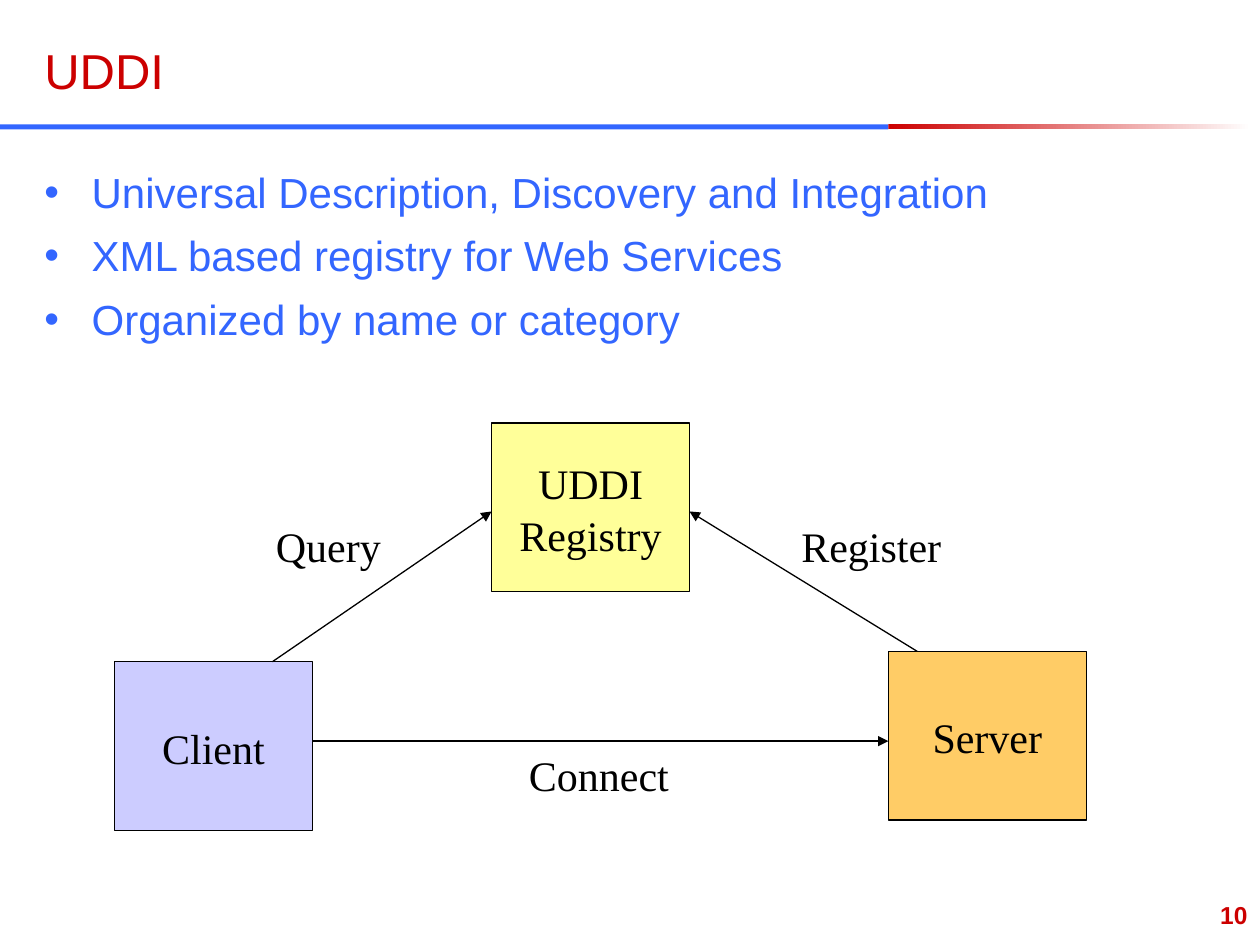
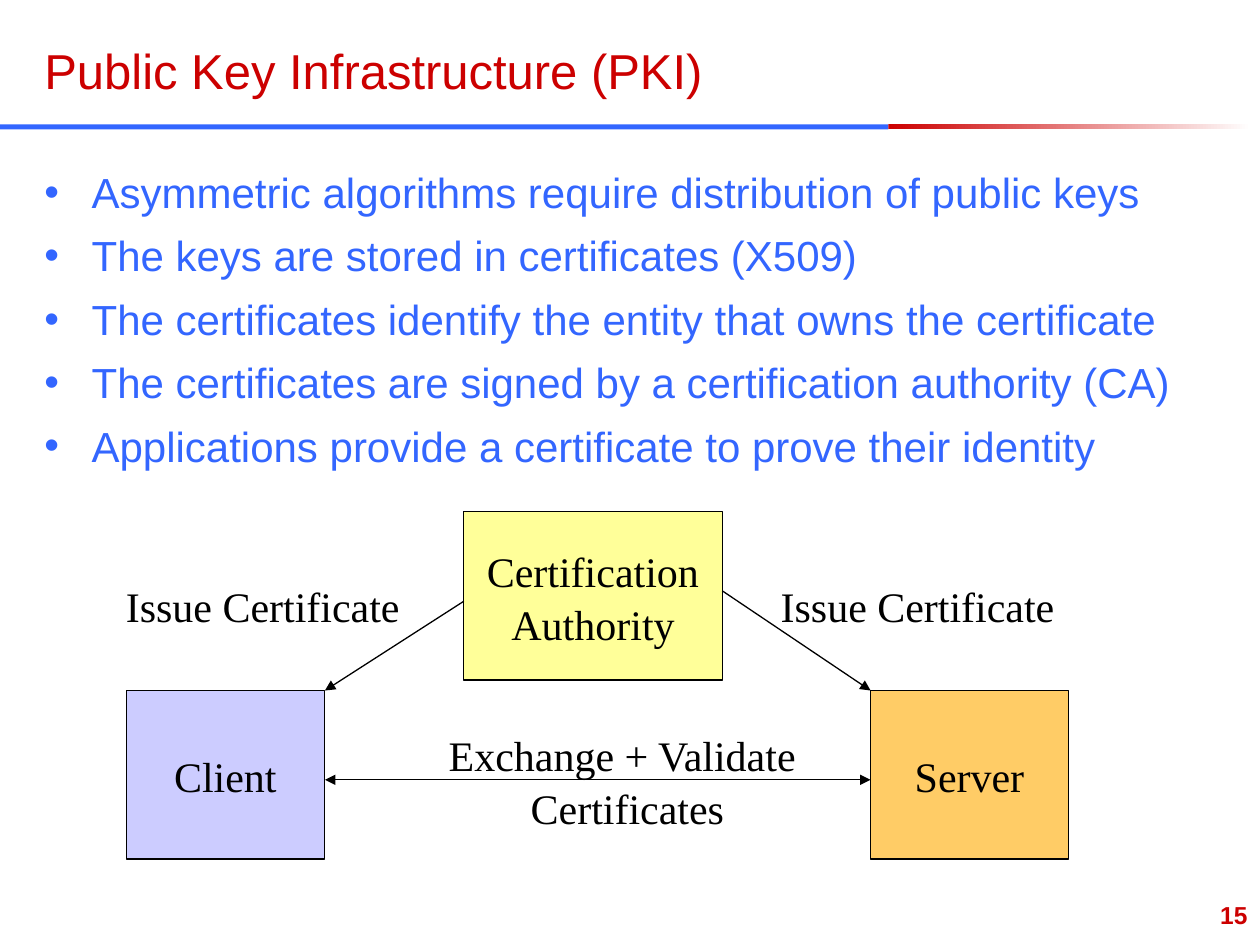
import pptx
import pptx.dml.color
import pptx.enum.shapes
import pptx.enum.text
import pptx.oxml
import pptx.oxml.ns
import pptx.util
from lxml import etree

Cm, Pt, qn = pptx.util.Cm, pptx.util.Pt, pptx.oxml.ns.qn
SHAPE = pptx.enum.shapes.MSO_SHAPE
ALIGN = pptx.enum.text.PP_ALIGN
ANCHOR = pptx.enum.text.MSO_ANCHOR

COLORS = {
    "red": "CC0000", "blue": "3366FF", "white": "FFFFFF", "black": "000000",
    "client": "CCCCFF", "registry": "FFFF99", "server": "FFCC66",
}
SANS, SERIF = "Arial", "Times New Roman"
LINE_SPACING = 1.05
BOX_W, BOX_H = 3.99, 3.4
LABEL_LINE, LABEL_PAD = 1.02, 0.25
BAND_TOP, BAND_H, BAND_SPLIT, BAND_END = 2.51, 0.1, 17.91, 25.22

# boxes: text, colour, left, top, width; arrows: start, end, heads
# labels: text, left, top, width (all in cm)
SLIDES = [
    {
        "title": "UDDI",
        "number": "10",
        "bullets": [
            "Universal Description, Discovery and Integration",
            "XML based registry for Web Services",
            "Organized by name or category",
        ],
        "boxes": [
            (["Client"], "client", 2.31, 13.34, BOX_W),
            (["UDDI", "Registry"], "registry", 9.91, 8.53, BOX_W),
            (["Server"], "server", 17.91, 13.13, BOX_W),
        ],
        "arrows": [
            ((5.49, 13.34), (9.91, 10.31), ["tailEnd"]),
            ((6.3, 14.94), (17.91, 14.94), ["tailEnd"]),
            ((18.49, 13.13), (13.9, 10.31), ["tailEnd"]),
        ],
        "labels": [
            (["Query"], 5.31, 10.31, 2.62),
            (["Register"], 15.9, 10.31, 3.33),
            (["Connect"], 10.41, 14.94, 3.33),
        ],
    },
    {
        "title": "Public Key Infrastructure (PKI)",
        "number": "15",
        "bullets": [
            "Asymmetric algorithms require distribution of public keys",
            "The keys are stored in certificates (X509)",
            "The certificates identify the entity that owns the certificate",
            "The certificates are signed by a certification authority (CA)",
            "Applications provide a certificate to prove their identity",
        ],
        "boxes": [
            (["Client"], "client", 2.55, 13.92, BOX_W),
            (["Certification", "Authority"], "registry", 9.35, 10.31, 5.21),
            (["Server"], "server", 17.55, 13.92, BOX_W),
        ],
        "arrows": [
            ((9.35, 12.12), (6.55, 13.92), ["tailEnd"]),
            ((6.55, 15.72), (17.55, 15.72), ["headEnd", "tailEnd"]),
            ((14.56, 11.91), (17.55, 13.92), ["tailEnd"]),
        ],
        "labels": [
            (["Issue Certificate"], 15.49, 11.53, 6.02),
            (["Exchange + Validate ", "Certificates"], 8.74, 14.53, 7.82),
            (["Issue Certificate"], 2.29, 11.53, 6.02),
        ],
    },
]


def rgb(name):
    return pptx.dml.color.RGBColor.from_string(COLORS[name])


def place(sp, left, top, width, height):
    sp.left, sp.top, sp.width, sp.height = map(Cm, (left, top, width, height))


def write(sp, lines, font, size, color, align=ALIGN.LEFT, anchor=ANCHOR.TOP,
          wrap=True, bold=False):
    """Fill a shape with one paragraph per line, all formatted alike."""
    tf = sp.text_frame
    tf.text = "\n".join(lines)
    tf.word_wrap = wrap
    tf.auto_size = pptx.enum.text.MSO_AUTO_SIZE.NONE
    tf.vertical_anchor = anchor
    for p in tf.paragraphs:
        p.alignment, p.line_spacing = align, LINE_SPACING
        p.font.name, p.font.size, p.font.bold = font, Pt(size), bold
        p.font.color.rgb = rgb(color)
    return tf


def add_rect(slide, left, top, width, height):
    sp = slide.shapes.add_shape(
        SHAPE.RECTANGLE, *map(Cm, (left, top, width, height)))
    sp.shadow.inherit = False
    return sp


def add_bands(slide):
    blue = add_rect(slide, 0, BAND_TOP, BAND_SPLIT, BAND_H)
    blue.fill.solid()
    blue.fill.fore_color.rgb = rgb("blue")
    fade = add_rect(slide, BAND_SPLIT, BAND_TOP, BAND_END - BAND_SPLIT, BAND_H)
    fade.fill.gradient()
    fade.fill.gradient_angle = 0
    for stop, color in zip(fade.fill.gradient_stops, ("red", "white")):
        stop.color.rgb = rgb(color)
    for sp in (blue, fade):
        sp.line.fill.background()


def add_bullets(body, bullets):
    tf = write(body, bullets, SANS, 24, "blue")
    for p in tf.paragraphs:
        p.space_before = Pt(6)
        bullet_color = etree.Element(qn("a:buClr"))
        etree.SubElement(bullet_color, qn("a:srgbClr"), val=COLORS["blue"])
        p._p.pPr.find(qn("a:defRPr")).addprevious(bullet_color)


def add_box(slide, lines, color, left, top, width):
    sp = add_rect(slide, left, top, width, BOX_H)
    sp.fill.solid()
    sp.fill.fore_color.rgb = rgb(color)
    sp.line.color.rgb = rgb("black")
    sp.line.width = Pt(0.75)
    write(sp, lines, SERIF, 24, "black", ALIGN.CENTER, ANCHOR.MIDDLE, wrap=False)


def add_arrow(slide, start, end, heads):
    line = slide.shapes.add_connector(
        pptx.enum.shapes.MSO_CONNECTOR.STRAIGHT, *map(Cm, start + end))
    line.line.color.rgb = rgb("black")
    line.line.width = Pt(0.75)
    props = line.element.spPr
    for head in heads:
        etree.SubElement(props.find(qn("a:ln")), qn("a:" + head), type="triangle")
    etree.SubElement(props, qn("a:effectLst"))


def add_text(slide, lines, left, top, width, height, *style, **options):
    sp = slide.shapes.add_textbox(*map(Cm, (left, top, width, height)))
    write(sp, lines, *style, **options)


def add_slide(prs, content):
    slide = prs.slides.add_slide(prs.slide_layouts[1])
    add_bands(slide)
    title, body = slide.placeholders
    place(title, 0.64, 0.64, 17.35, 1.47)
    write(title, [content["title"]], SANS, 28, "red")
    place(body, 0.64, 3.18, 24.13, 14.6)
    add_bullets(body, content["bullets"])
    for box in content["boxes"]:
        add_box(slide, *box)
    for arrow in content["arrows"]:
        add_arrow(slide, *arrow)
    for lines, left, top, width in content["labels"]:
        height = LABEL_PAD + LABEL_LINE * len(lines)
        add_text(slide, lines, left, top, width, height,
                 SERIF, 24, "black", ALIGN.CENTER, wrap=False)
    add_text(slide, [content["number"]], 20.12, 17.98, 5.28, 1.07,
             SANS, 14, "red", ALIGN.RIGHT, bold=True)


def main():
    prs = pptx.Presentation()
    prs.slide_width, prs.slide_height = Cm(25.4), Cm(19.05)
    for content in SLIDES:
        add_slide(prs, content)
    prs.save("out.pptx")


if __name__ == "__main__":
    main()
